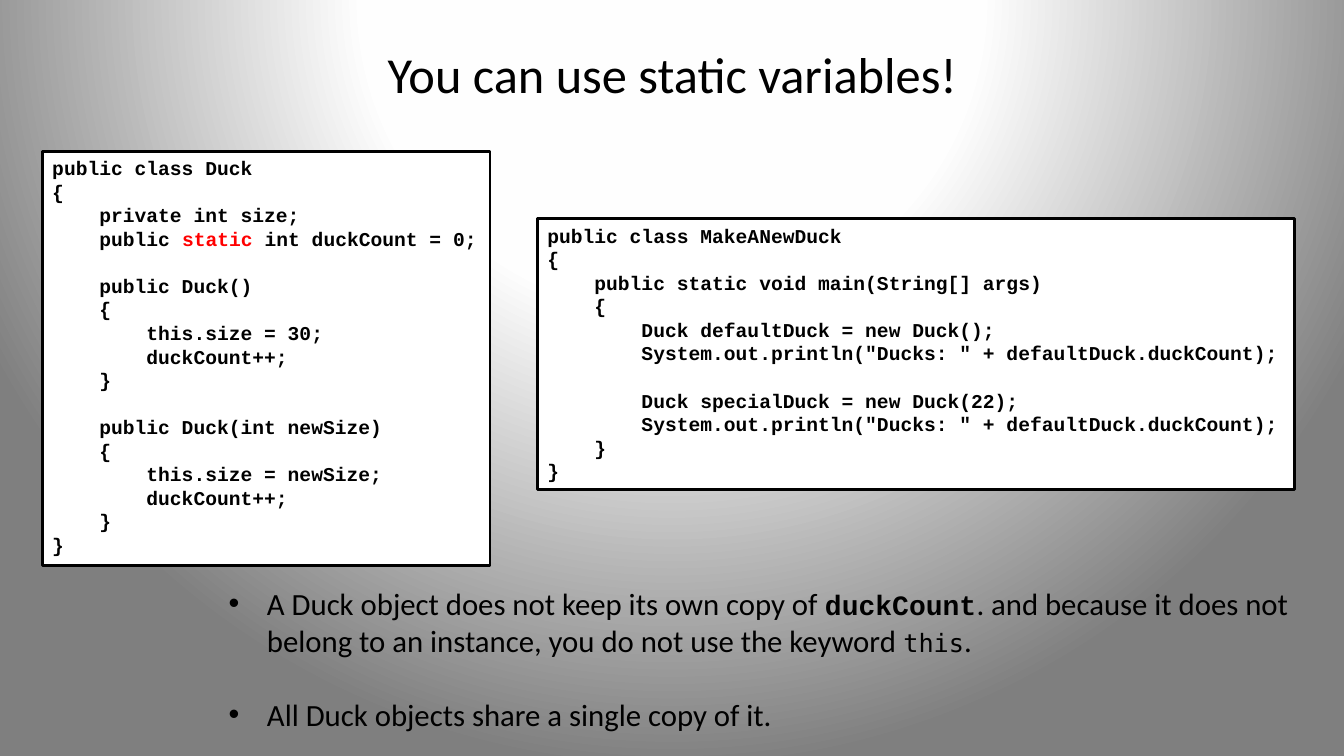
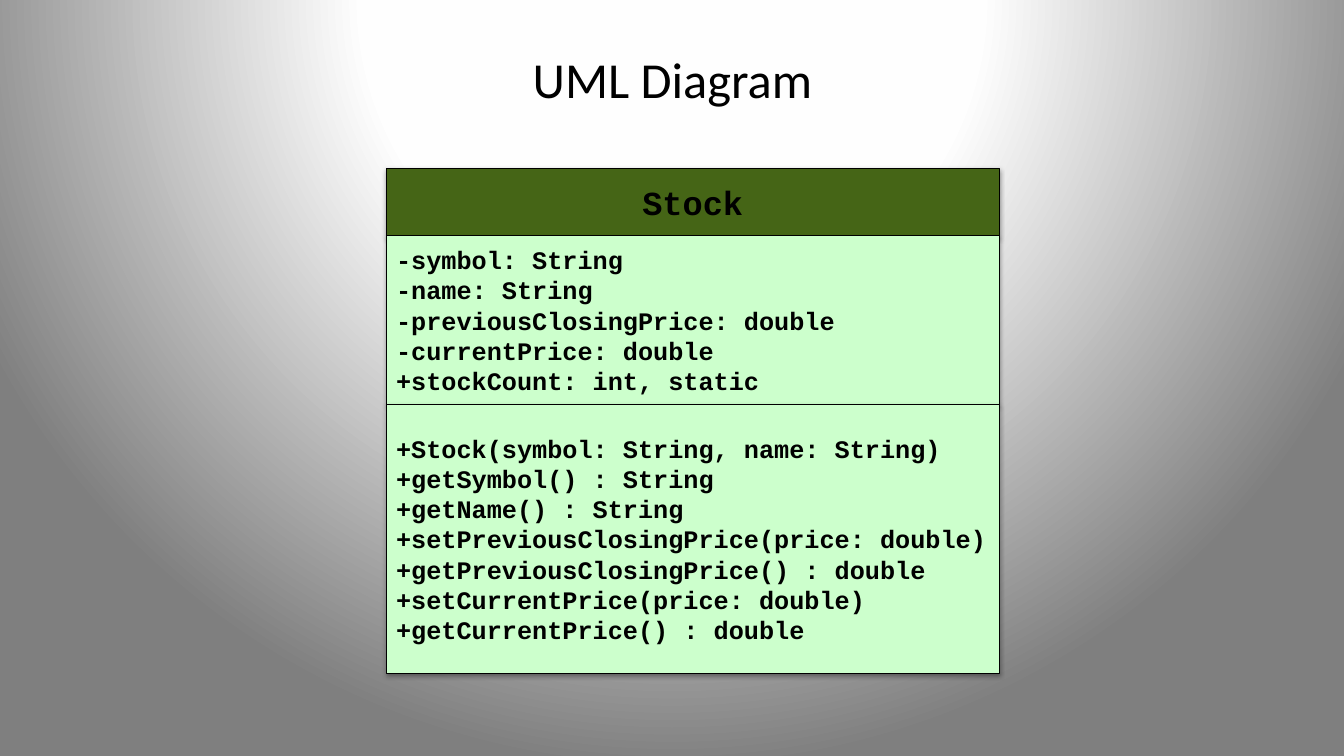
"""Build two slides on static variables and their UML notation."""
from typing import NamedTuple, Optional

from pptx import Presentation
from pptx.dml.color import RGBColor
from pptx.enum.shapes import MSO_SHAPE
from pptx.enum.text import MSO_ANCHOR, PP_ALIGN
from pptx.oxml import parse_xml
from pptx.oxml.ns import nsdecls, qn
from pptx.slide import Slide, SlideMaster
from pptx.util import Inches, Pt

RECT = MSO_SHAPE.RECTANGLE
LEFT, CENTER = PP_ALIGN.LEFT, PP_ALIGN.CENTER
TOP, MIDDLE = MSO_ANCHOR.TOP, MSO_ANCHOR.MIDDLE

BLACK, WHITE, RED = "000000", "FFFFFF", "FF0000"
OLIVE, MINT = "456516", "CCFFCC"
STOPS = ((0, WHITE), (40, "FEFEFE"), (100, "7F7F7F"))
SANS, MONO, DEJAVU = "Calibri", "Courier New", "DejaVu Sans Mono"
PITCH = 1.2

DUCK = """public class Duck
{
    private int size;
    public static int duckCount = 0;

    public Duck()
    {
        this.size = 30;
        duckCount++;
    }

    public Duck(int newSize)
    {
        this.size = newSize;
        duckCount++;
    }
}"""

MAKER = """public class MakeANewDuck
{
    public static void main(String[] args)
    {
        Duck defaultDuck = new Duck();
        System.out.println("Ducks: " + defaultDuck.duckCount);

        Duck specialDuck = new Duck(22);
        System.out.println("Ducks: " + defaultDuck.duckCount);
    }
}"""

FIELDS = """-symbol: String
-name: String
-previousClosingPrice: double
-currentPrice: double
+stockCount: int, static"""

METHODS = """+Stock(symbol: String, name: String)
+getSymbol() : String
+getName() : String
+setPreviousClosingPrice(price: double)
+getPreviousClosingPrice() : double
+setCurrentPrice(price: double)
+getCurrentPrice() : double"""


class Run(NamedTuple):
    """A stretch of text in one style."""
    text: str
    size: float = 22
    font: str = SANS
    bold: bool = False
    color: str = BLACK


class Line(NamedTuple):
    """A paragraph; gap and pitch are in points."""
    runs: list[Run]
    gap: float = 0
    pitch: float = 0
    align: PP_ALIGN = LEFT
    bullet: bool = False


class Box(NamedTuple):
    """A text block; place and size are in inches."""
    x: float
    y: float
    w: float
    h: float
    lines: list[Line]
    fill: Optional[str] = None
    edge: float = 0
    anchor: MSO_ANCHOR = TOP
    shadow: bool = False


def paint(code: str) -> RGBColor:
    """Turn a hex string into a colour."""
    return RGBColor.from_string(code)


def set_back(master: SlideMaster) -> None:
    """Give all slides the spotlight gradient."""
    master.background.fill.gradient()
    old = master.element.find(f".//{qn('p:bgPr')}/{qn('a:gradFill')}")
    stops = "".join(
        f'<a:gs pos="{pos * 1000}"><a:srgbClr val="{code}"/></a:gs>'
        for pos, code in STOPS)
    new = parse_xml(
        f'<a:gradFill {nsdecls("a")} rotWithShape="1"><a:gsLst>{stops}</a:gsLst>'
        '<a:path path="circle"><a:fillToRect l="50000" t="-80000" r="50000" '
        'b="180000"/></a:path></a:gradFill>')
    old.getparent().replace(old, new)


def add_shade(shape) -> None:
    """Put a soft shadow below a shape."""
    shape.shadow.inherit = False
    effects = shape.element.spPr.find(qn("a:effectLst"))
    effects.append(parse_xml(
        f'<a:outerShdw {nsdecls("a")} blurRad="40000" dist="23000" dir="5400000" '
        f'rotWithShape="0"><a:srgbClr val="{BLACK}"><a:alpha val="35000"/>'
        '</a:srgbClr></a:outerShdw>'))


def add_line(para, line: Line) -> None:
    """Fill a paragraph run by run."""
    para.alignment = line.align
    if line.gap:
        para.space_before = Pt(line.gap)
    if line.pitch:
        para.line_spacing = Pt(line.pitch)
    if line.bullet:
        props = para._p.get_or_add_pPr()
        indent = Inches(0.38)
        props.set("marL", str(indent))
        props.set("indent", str(-indent))
        props.append(parse_xml(f'<a:buFont {nsdecls("a")} typeface="Arial"/>'))
        props.append(parse_xml(f'<a:buChar {nsdecls("a")} char="•"/>'))
    for item in line.runs:
        for row, text in enumerate(item.text.split("\n")):
            if row:
                para.add_line_break()
            run = para.add_run()
            run.text = text
            run.font.size = Pt(item.size)
            run.font.name = item.font
            run.font.bold = item.bold
            run.font.color.rgb = paint(item.color)


def add_box(slide: Slide, box: Box) -> None:
    """Draw a text block, framed if it has a fill."""
    place = [Inches(side) for side in box[:4]]
    if box.fill:
        shape = slide.shapes.add_shape(RECT, *place)
        shape.fill.solid()
        shape.fill.fore_color.rgb = paint(box.fill)
        shape.line.color.rgb = paint(BLACK)
        shape.line.width = Pt(box.edge)
        if box.shadow:
            add_shade(shape)
        else:
            shape.shadow.inherit = False
    else:
        shape = slide.shapes.add_textbox(*place)
    frame = shape.text_frame
    frame.word_wrap = True
    frame.vertical_anchor = box.anchor
    for row, line in enumerate(box.lines):
        add_line(frame.add_paragraph() if row else frame.paragraphs[0], line)


def code_lines(code: str, size: float, mark: str = "") -> list[Line]:
    """Set code in bold, with the marked word in red."""
    pitch = size * PITCH
    lines, gap = [], 0.0
    for text in code.splitlines():
        if not text:
            gap = pitch
            continue
        parts = text.partition(mark) if mark else (text,)
        runs = [Run(part, size, MONO, True, RED if part == mark else BLACK)
                for part in parts if part]
        lines.append(Line(runs, gap, pitch))
        gap = 0.0
    return lines


def add_slide(prs, title: str, top: float, boxes: list[Box]) -> None:
    """Add a titled slide with its boxes."""
    slide = prs.slides.add_slide(prs.slide_layouts[6])
    head = Line([Run(title, 36)], align=CENTER)
    add_box(slide, Box(0.67, top, 12, 0.95, [head], anchor=MIDDLE))
    for box in boxes:
        add_box(slide, box)


def uml_boxes() -> list[Box]:
    """Stack the parts of the class diagram."""
    name = [Line([Run("Stock", 24, MONO, True)], align=CENTER)]
    parts = ((0.67, OLIVE, name),
             (1.67, MINT, code_lines(FIELDS, 18)),
             (2.67, MINT, code_lines(METHODS, 18)))
    boxes, top = [], 1.67
    for high, fill, lines in parts:
        boxes.append(Box(3.83, top, 6.08, high, lines, fill, 0.75, MIDDLE, True))
        top += high
    return boxes


def main() -> None:
    """Build and save the slides."""
    prs = Presentation()
    prs.slide_width, prs.slide_height = Inches(13.33), Inches(7.5)
    set_back(prs.slide_master)
    notes = [
        Line([Run("A Duck object does not keep its own copy of "),
              Run("duckCount", 20, MONO, True),
              Run(". and because it does not\n"
                  "belong to an instance, you do not use the keyword "),
              Run("this", 18, DEJAVU),
              Run(".")], bullet=True),
        Line([Run("All Duck objects share a single copy of it.")],
             gap=22 * PITCH, bullet=True),
    ]
    add_slide(prs, "You can use static variables!", 0.25, [
        Box(0.42, 1.5, 4.44, 4.11, code_lines(DUCK, 14, "static "), WHITE, 2),
        Box(2.17, 5.75, 10.83, 1.58, notes),
        Box(5.33, 2.17, 7.51, 2.69, code_lines(MAKER, 14), WHITE, 2),
    ])
    add_slide(prs, "UML Diagram", 0.3, uml_boxes())
    prs.save("out.pptx")


if __name__ == "__main__":
    main()
